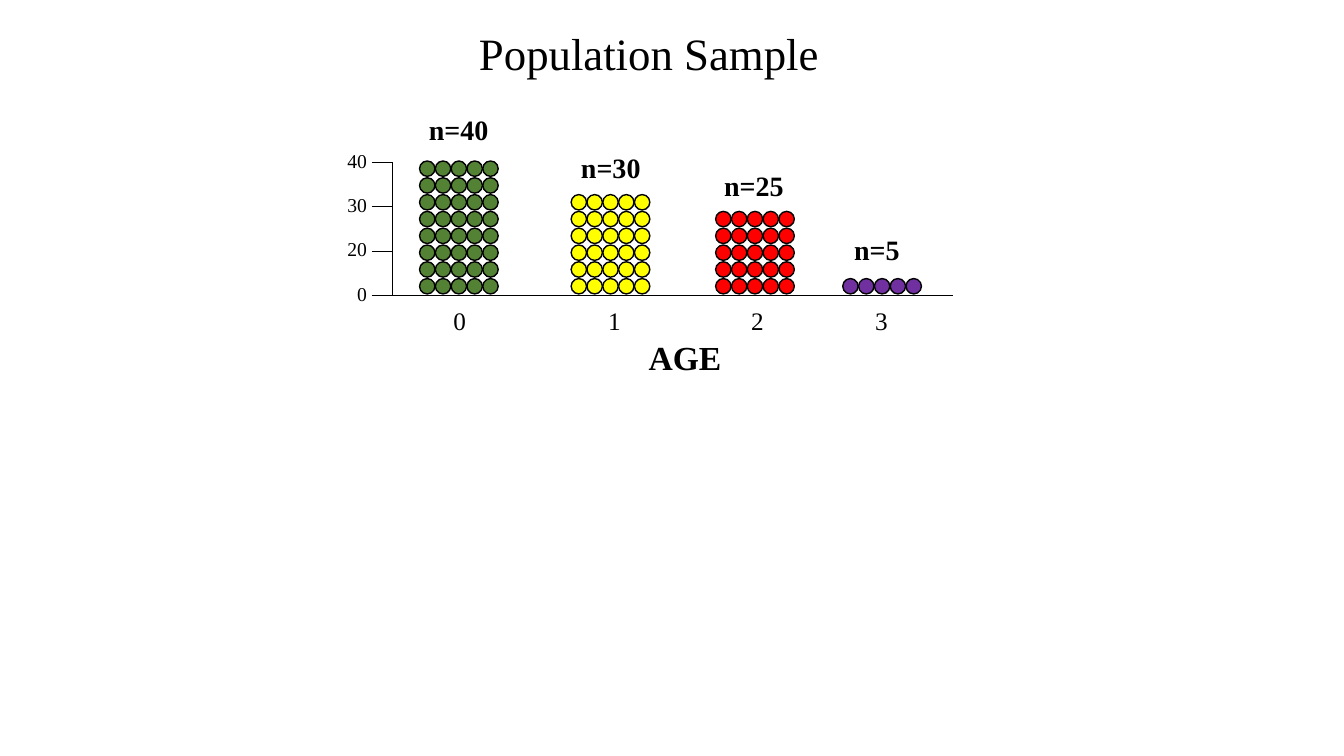
"""Build the Population Sample slide: a dot chart of sample counts by age."""
from lxml.etree import SubElement
from pptx import Presentation
from pptx.dml.color import RGBColor
from pptx.enum.shapes import MSO_CONNECTOR, MSO_SHAPE
from pptx.enum.text import MSO_ANCHOR, MSO_AUTO_SIZE, PP_ALIGN
from pptx.oxml.ns import qn
from pptx.util import Pt

TITLE = "Population Sample"
AXIS_TITLE = "AGE"
TICKS = ["0", "20", "30", "40"]
COLORS = {"ink": "000000", "green": "548235", "yellow": "FFFF00",
          "red": "FF0000", "purple": "7030A0"}
GROUPS = [
    {"age": "0", "n": 40, "color": "green", "left": 299.7,
     "n_center": 327.6, "n_top": 77, "age_center": 328.3},
    {"age": "1", "n": 30, "color": "yellow", "left": 408,
     "n_center": 436.3, "n_top": 103.7, "age_center": 438.8},
    {"age": "2", "n": 25, "color": "red", "left": 511.2,
     "n_center": 538.6, "n_top": 116.8, "age_center": 541.1},
    {"age": "3", "n": 5, "color": "purple", "left": 602,
     "n_center": 626.4, "n_top": 162.8, "age_center": 629.6},
]
FONT = "Times New Roman"
DOTS_PER_ROW = 5
DOT, COLUMN_STEP, ROW_STEP = 11, 11.3, 12
BOTTOM_ROW = 199
AXIS_X, AXIS_Y, AXIS_END = 280.1, 211, 681
TICK_LENGTH, TICK_STEP = 14.4, 31.7
TICK_LABEL_RIGHT = 269.3


def rgb(name):
    return RGBColor.from_string(COLORS[name])


def write(frame, text, size, align, bold=False):
    frame.word_wrap = False
    frame.vertical_anchor = MSO_ANCHOR.TOP
    paragraph = frame.paragraphs[0]
    paragraph.alignment = align
    run = paragraph.add_run()
    run.text = text
    run.font.name = FONT
    run.font.size = Pt(size)
    run.font.bold = bold
    run.font.color.rgb = rgb("ink")


def add_label(slide, text, left, top, width, height, size,
              align=PP_ALIGN.CENTER, bold=False):
    label = slide.shapes.add_textbox(Pt(left), Pt(top), Pt(width), Pt(height))
    write(label.text_frame, text, size, align, bold)
    label.text_frame.auto_size = MSO_AUTO_SIZE.SHAPE_TO_FIT_TEXT


def add_line(slide, x1, y1, x2, y2):
    line = slide.shapes.add_connector(
        MSO_CONNECTOR.STRAIGHT, Pt(x1), Pt(y1), Pt(x2), Pt(y2))
    line.line.color.rgb = rgb("ink")
    line.line.width = Pt(0.5)
    SubElement(line._element.spPr, qn("a:effectLst"))


def add_dots(slide, group):
    for index in range(group["n"]):
        row, column = divmod(index, DOTS_PER_ROW)
        dot = slide.shapes.add_shape(
            MSO_SHAPE.OVAL, Pt(group["left"] + column * COLUMN_STEP),
            Pt(BOTTOM_ROW - row * ROW_STEP), Pt(DOT), Pt(DOT))
        dot.shadow.inherit = False
        dot.fill.solid()
        dot.fill.fore_color.rgb = rgb(group["color"])
        dot.line.color.rgb = rgb("ink")
        dot.line.width = Pt(1)


def add_axes(slide):
    add_line(slide, AXIS_X, AXIS_Y, AXIS_END, AXIS_Y)
    add_line(slide, AXIS_X, AXIS_Y - 3 * TICK_STEP, AXIS_X, AXIS_Y)
    for index, tick in enumerate(TICKS):
        y = AXIS_Y - index * TICK_STEP
        add_line(slide, AXIS_X - TICK_LENGTH, y, AXIS_X, y)
        width = 14.4 + 7 * len(tick)
        add_label(slide, tick, TICK_LABEL_RIGHT - width, y - 13.4,
                  width, 24.2, 14, PP_ALIGN.RIGHT)


def main():
    deck = Presentation()
    deck.slide_width, deck.slide_height = Pt(960), Pt(540)
    slide = deck.slides.add_slide(deck.slide_layouts[5])
    title = slide.shapes.title
    title.left, title.top, title.width, title.height = (
        Pt(334), Pt(14.4), Pt(259.2), Pt(46))
    write(title.text_frame, TITLE, 32, PP_ALIGN.CENTER)
    title.text_frame.auto_size = MSO_AUTO_SIZE.SHAPE_TO_FIT_TEXT

    for group in GROUPS:
        add_dots(slide, group)
        count = f"n={group['n']}"
        width = 17.5 + 10 * len(count)
        add_label(slide, count, group["n_center"] - width / 2, group["n_top"],
                  width, 31.5, 20, bold=True)
        add_label(slide, group["age"], group["age_center"] - 12, 214.6,
                  24, 29, 18)
    add_axes(slide)
    add_label(slide, AXIS_TITLE, 455.8, 236.9, 67, 36.4, 24, bold=True)
    deck.save("out.pptx")


if __name__ == "__main__":
    main()
